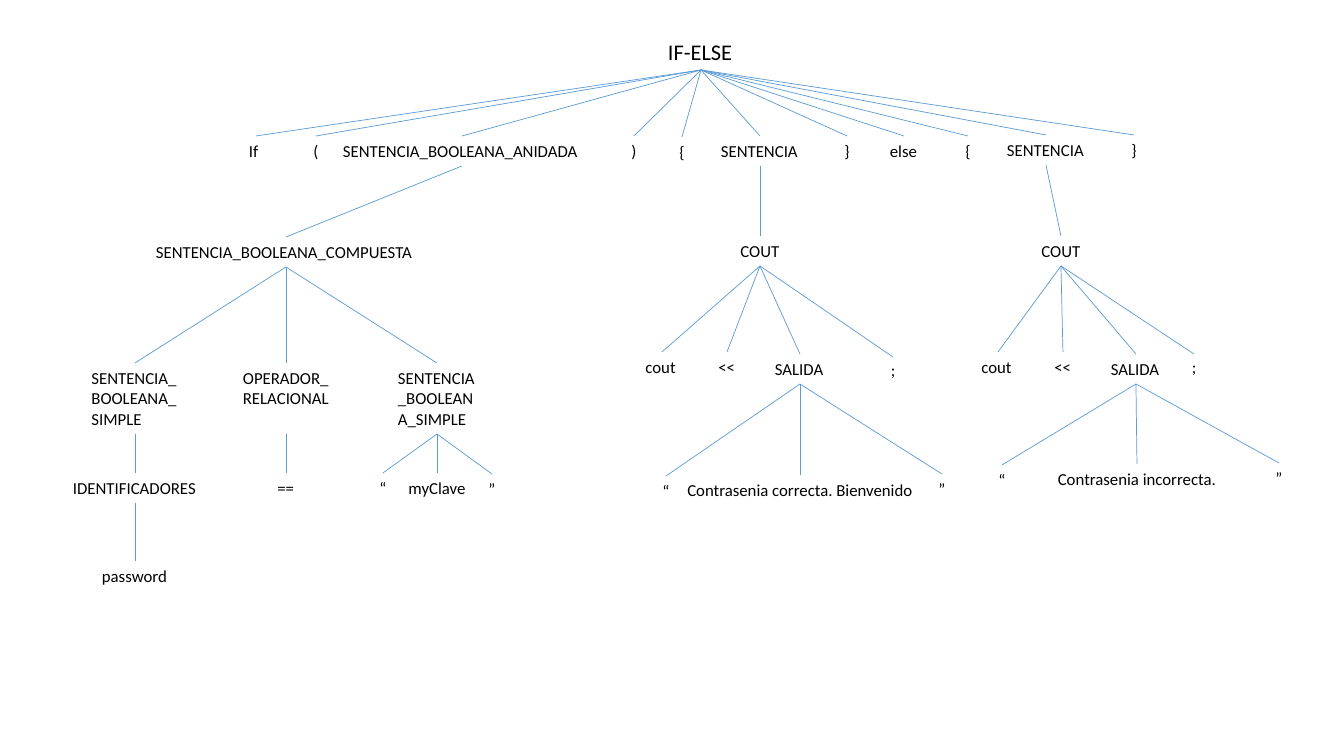
import pptx
import pptx.util
import pptx.dml.color
import pptx.enum.shapes
import pptx.enum.text
import pptx.oxml.ns
import lxml.etree

PX = 914400 / 100.8


def px(n):
    return pptx.util.Emu(round(n * PX))


def color(value):
    return pptx.dml.color.RGBColor.from_string(value)


prs = pptx.Presentation()
prs.slide_width = px(1344)
prs.slide_height = px(756)
s = prs.slides.add_slide(prs.slide_layouts[6])

# Syntax tree: key, parent key, text, centre x, top, width
nodes = [
    ("root", None, "IF-ELSE", 701, 33, 86),
    # Tokens of the if-else
    ("if", "root", "If", 256, 136, 34),
    ("paren open", "root", "(", 316, 136, 25),
    ("nested", "root", "SENTENCIA_BOOLEANA_ANIDADA", 462, 136, 258),
    ("paren close", "root", ")", 634, 136, 25),
    ("then open", "root", "{", 682, 137, 25),
    ("then", "root", "SENTENCIA", 760, 136, 98),
    ("then close", "root", "}", 847, 136, 25),
    ("else", "root", "else", 904, 136, 48),
    ("else open", "root", "{", 968, 136, 25),
    ("otherwise", "root", "SENTENCIA", 1046, 135, 98),
    ("else close", "root", "}", 1134, 135, 25),
    # Condition
    ("compound", "nested", "SENTENCIA_BOOLEANA_COMPUESTA", 286, 237, 280),
    ("left side", "compound", "SENTENCIA_BOOLEANA_SIMPLE", 135, 363, 107),
    ("operator", "compound", "OPERADOR_RELACIONAL", 286, 363, 106),
    ("right side", "compound", "SENTENCIA_BOOLEANA_SIMPLE", 437, 363, 98),
    ("identifiers", "left side", "IDENTIFICADORES", 135, 473, 144),
    ("password", "identifiers", "password", 135, 561, 86),
    ("equals", "operator", "==", 286, 473, 37),
    ("key open", "right side", "“", 383, 473, 27),
    ("key", "right side", "myClave", 437, 473, 85),
    ("key close", "right side", "”", 492, 474, 27),
]

# Both output branches: parent, COUT x, cout x, << x, SALIDA x, ; x and top,
# message, its x and top, x of its quotes
branches = [
    ("then", 760, 662, 727, 800, 893, 357,
     "Contrasenia correcta. Bienvenido", 800, 475, 666, 942),
    ("otherwise", 1061, 998, 1063, 1136, 1194, 354,
     "Contrasenia incorrecta.", 1137, 464, 1002, 1279),
]
for (parent, cout_x, word_x, shift_x, out_x, semi_x, semi_y,
     message, message_x, message_y, open_x, close_x) in branches:
    cout, out = parent + " cout", parent + " output"
    nodes += [
        (cout, parent, "COUT", cout_x, 236, 59),
        (cout + " word", cout, "cout", word_x, 352, 53),
        (cout + " shift", cout, "<<", shift_x, 352, 37),
        (out, cout, "SALIDA", out_x, 354, 70),
        (cout + " end", cout, ";", semi_x, semi_y, 69),
        (out + " open", out, "“", open_x, message_y + 1, 27),
        (out + " message", out, message, message_x, message_y, 308),
        (out + " close", out, "”", close_x, message_y - 1, 27),
    ]

WRAPPED = ("left side", "operator", "right side")
CENTERED = ("myClave", ";", "Contrasenia correcta. Bienvenido", "Contrasenia incorrecta.")

shapes = {}
for key, parent, text, x, top, width in nodes:
    # Node label
    height = 37 if parent is None else 71 if key in WRAPPED else 55 if text == ";" else 30
    sp = s.shapes.add_textbox(px(x - width / 2), px(top), px(width), px(height))
    shapes[key] = sp
    tf = sp.text_frame
    tf.text = text
    tf.word_wrap = key in WRAPPED or text in CENTERED
    p = tf.paragraphs[0]
    if text in CENTERED:
        p.alignment = pptx.enum.text.PP_ALIGN.CENTER
    if text == ";":
        p.line_spacing = 0.9
        p.space_before = pptx.util.Pt(10)
    else:
        tf.auto_size = pptx.enum.text.MSO_AUTO_SIZE.SHAPE_TO_FIT_TEXT
    r = p.runs[0]
    r.font.name = "Calibri"
    r.font.size = pptx.util.Pt(16 if parent is None else 12)
    r.font.color.rgb = color("000000")

    # Branch from the parent's bottom to the node's top
    if parent is not None:
        line = s.shapes.add_connector(pptx.enum.shapes.MSO_CONNECTOR.STRAIGHT, 0, 0, 0, 0)
        line.begin_connect(shapes[parent], 2)
        line.end_connect(sp, 0)
        line.line.color.rgb = color("5B9BD5")
        line.line.width = pptx.util.Pt(0.5)
        lxml.etree.SubElement(line._element.spPr, pptx.oxml.ns.qn("a:effectLst"))

prs.save("out.pptx")
